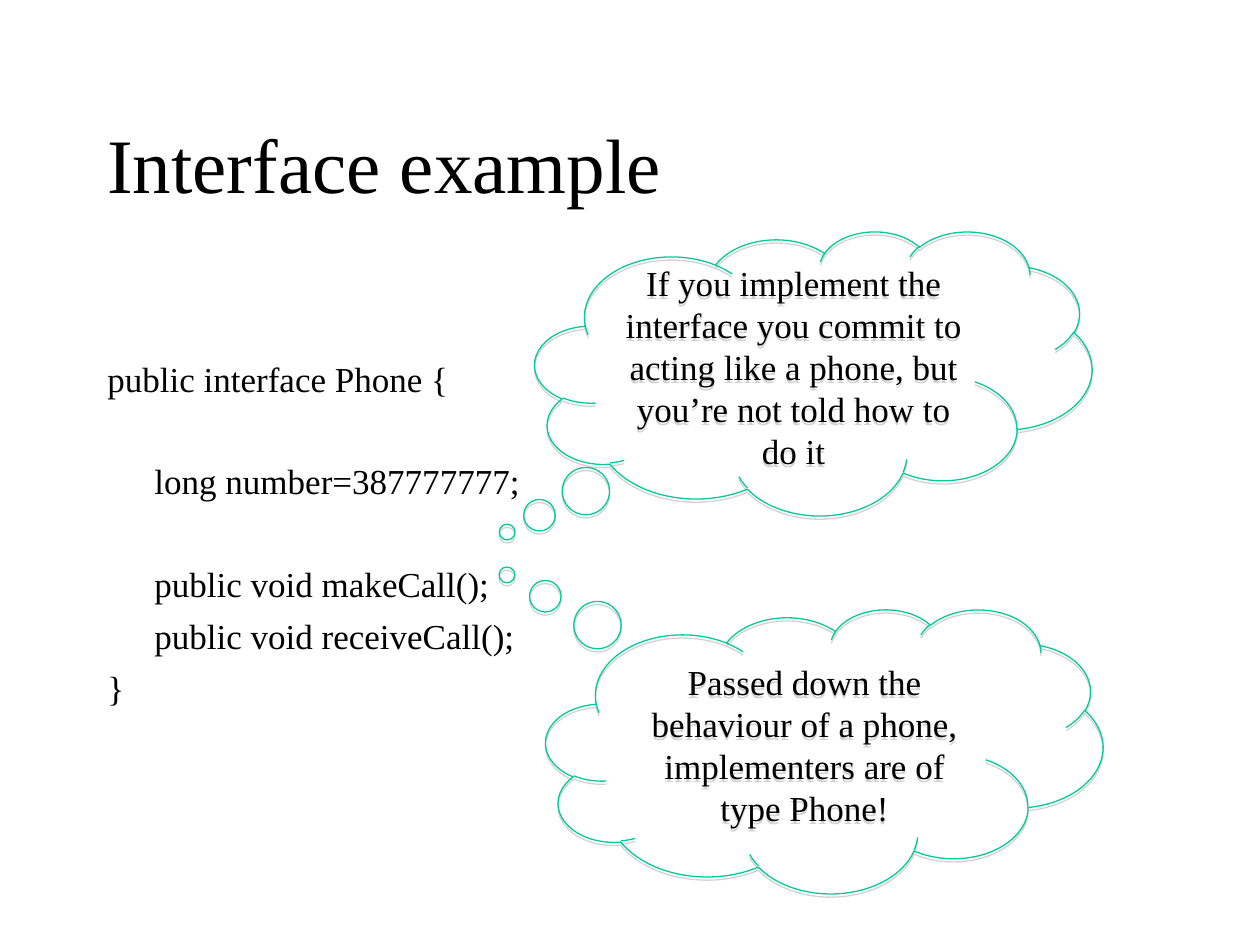
from pptx import Presentation
from pptx.util import Pt
from pptx.dml.color import RGBColor
from pptx.enum.shapes import MSO_SHAPE
from pptx.enum.text import MSO_ANCHOR, PP_ALIGN
from lxml import etree

CLOUD = MSO_SHAPE.CLOUD_CALLOUT
MID, TOP = MSO_ANCHOR.MIDDLE, MSO_ANCHOR.TOP
CENTER, LEFT = PP_ALIGN.CENTER, PP_ALIGN.LEFT
NS = "http://schemas.openxmlformats.org/drawingml/2006/main"
PX = 914400 // 126
theme = {
    "font": "Times New Roman",
    "ink": RGBColor.from_string("000000"),
    "edge": RGBColor.from_string("00CC98"),
    "title": Pt(44),
    "body": Pt(20),
    "gap": 5.75,
    "line": 28.75,
}
SHADOW = f"""<a:effectLst xmlns:a="{NS}">
  <a:outerShdw dist="{Pt(1.8)}" dir="5400000" algn="ctr" rotWithShape="0">
    <a:srgbClr val="808080"><a:alpha val="35000"/></a:srgbClr>
  </a:outerShdw>
</a:effectLst>"""


def setup(frame, anchor):
    frame.word_wrap = True
    frame.vertical_anchor = anchor
    return frame


def write(para, text, size, align=LEFT):
    para.alignment = align
    run = para.add_run()
    run.text = text
    run.font.name = theme["font"]
    run.font.size = size
    run.font.color.rgb = theme["ink"]


deck = Presentation()
deck.slide_width, deck.slide_height = 1260 * PX, 945 * PX
slide = deck.slides.add_slide(deck.slide_layouts[6])
shapes = slide.shapes

# Title
box = shapes.add_textbox(95 * PX, 84 * PX, 1071 * PX, 158 * PX)
write(setup(box.text_frame, MID).paragraphs[0], "Interface example", theme["title"])

# Code: each line with the number of empty lines above it
code = [
    ("public interface Phone {", 0),
    ("\tlong number=387777777;", 1),
    ("\tpublic void makeCall();", 1),
    ("\tpublic void receiveCall();", 0),
    ("}", 0),
]
box = shapes.add_textbox(95 * PX, 351 * PX, 1071 * PX, 489 * PX)
frame = setup(box.text_frame, TOP)
for i, (text, skip) in enumerate(code):
    para = frame.add_paragraph() if i else frame.paragraphs[0]
    props = para._p.get_or_add_pPr()
    props.set("marL", str(47 * PX))
    props.set("indent", str(-47 * PX))
    if i:
        para.space_before = Pt(theme["gap"] + skip * theme["line"])
    write(para, text, theme["body"])

# Thought clouds: left, top, tail offsets, text
clouds = [
    (535, 231, -0.55, 0.56,
     "If you implement the interface you commit to acting like a phone, "
     "but you’re not told how to do it"),
    (546, 609, -0.57, -0.62,
     "Passed down the behaviour of a phone, implementers are of type Phone!"),
]
for x, y, dx, dy, text in clouds:
    cloud = shapes.add_shape(CLOUD, x * PX, y * PX, 557 * PX, 284 * PX)
    cloud.adjustments[0], cloud.adjustments[1] = dx, dy
    cloud.fill.background()
    cloud.line.color.rgb = theme["edge"]
    cloud.line.width = Pt(0.75)
    cloud._element.spPr.append(etree.fromstring(SHADOW))
    write(setup(cloud.text_frame, MID).paragraphs[0], text, theme["body"], CENTER)

deck.save("out.pptx")
